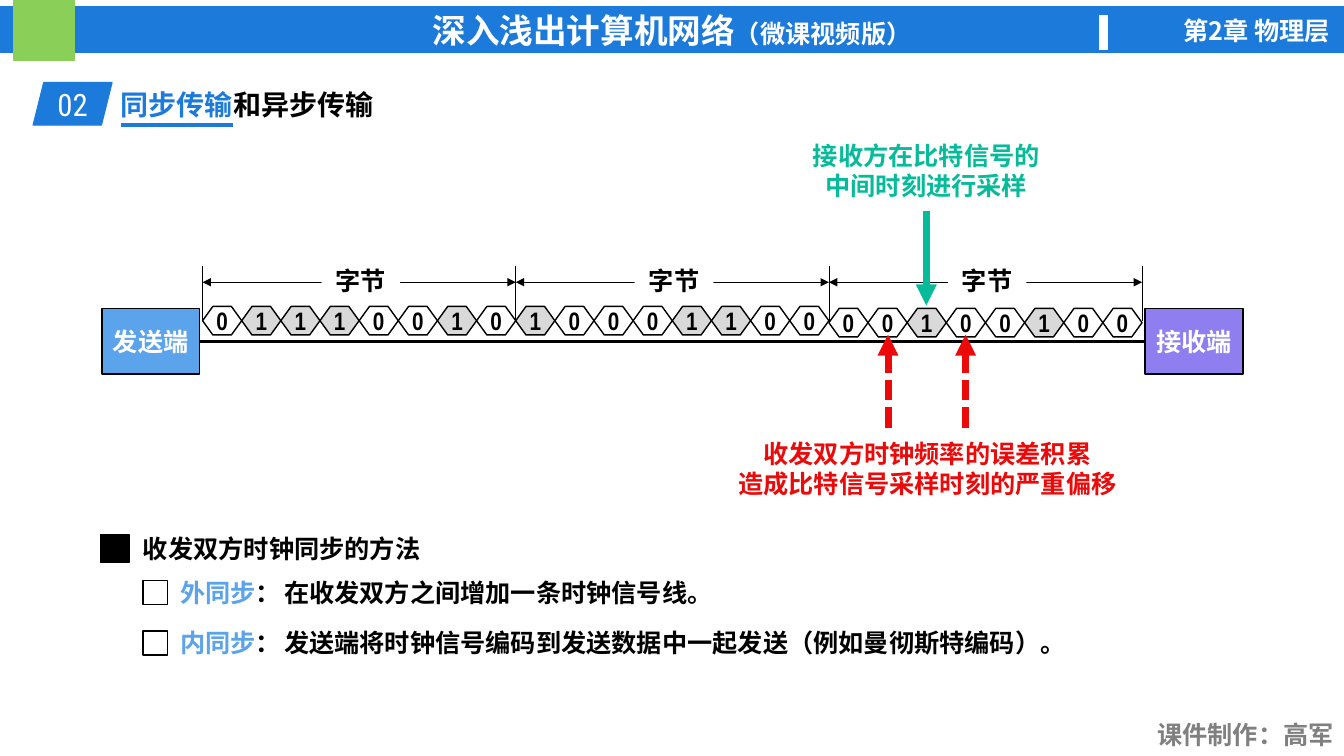
"""Slide on synchronous transmission: bit stream, sampling drift and clock synchronisation methods."""
from lxml.etree import SubElement
from pptx import Presentation
from pptx.dml.color import RGBColor
from pptx.enum.dml import MSO_LINE as DASH
from pptx.enum.shapes import MSO_CONNECTOR as CONNECTOR, MSO_SHAPE as SHAPE
from pptx.enum.text import MSO_ANCHOR as ANCHOR, PP_ALIGN as ALIGN
from pptx.oxml.ns import qn
from pptx.util import Inches, Pt

colour = RGBColor.from_string
BLUE, SKY, TEAL, RED = "1B7ADA", "5BA3EB", "06BB9A", "EB0909"
BLACK, WHITE, GREY = "000000", "FFFFFF", "D9D9D9"

deck = Presentation()
deck.slide_width, deck.slide_height = Inches(13.33), Inches(7.5)
page = deck.slides.add_slide(deck.slide_layouts[6])
COLUMN, ROW = deck.slide_width / 160, deck.slide_height / 90


def add_box(kind, at, lines=(), ink=BLACK, size=18, fill=None, edge=None,
            align=ALIGN.CENTER, anchor=ANCHOR.MIDDLE, font="Arial Narrow", bold=True):
    """Place a shape, or a text box if kind is None; each line is a list of (text, colour, size)."""
    place = [round(value * unit) for value, unit in zip(at, (COLUMN, ROW, COLUMN, ROW))]
    if kind is None:
        box = page.shapes.add_textbox(*place)
    else:
        box = page.shapes.add_shape(kind, *place)
        box.shadow.inherit = False
        if fill:
            box.fill.solid()
            box.fill.fore_color.rgb = colour(fill)
        else:
            box.fill.background()
        if edge:
            box.line.color.rgb = colour(edge)
            box.line.width = Pt(1)
        else:
            box.line.fill.background()
    frame = box.text_frame
    frame.word_wrap = True
    frame.vertical_anchor = anchor
    for number, line in enumerate(lines):
        para = frame.add_paragraph() if number else frame.paragraphs[0]
        para.alignment = align
        para.font.name, para.font.size, para.font.bold = font, Pt(size), bold
        para.font.color.rgb = colour(ink)
        for text, *special in [(line,)] if isinstance(line, str) else line:
            span = para.add_run()
            span.text = text
            if special:
                span.font.color.rgb = colour(special[0])
                span.font.size = Pt(special[1])
    return box


def add_line(start, end, ink=BLACK, width=0.5, heads=(), dash=None):
    """Draw a straight line between two grid points, with triangles at the named ends."""
    ends = [round(value * unit) for value, unit in zip(start + end, (COLUMN, ROW) * 2)]
    line = page.shapes.add_connector(CONNECTOR.STRAIGHT, *ends)
    line.line.color.rgb = colour(ink)
    line.line.width = Pt(width)
    if dash:
        line.line.dash_style = dash
    for head in heads:
        SubElement(line.line._get_or_add_ln(), qn("a:" + head), type="triangle")
    SubElement(line._element.spPr, qn("a:effectLst"))
    return line


add_box(SHAPE.RECTANGLE, (0, 0.84, 160, 5.4),
        [[("深入浅出计算机网络", WHITE, 24), ("（微课视频版）", WHITE, 18)]],
        WHITE, fill=BLUE, edge=BLUE)
add_box(SHAPE.RECTANGLE, (1.68, 0, 7.2, 7.2), fill="8ACF57", edge="8ACF57")
add_box(SHAPE.RECTANGLE, (130.92, 1.92, 0.96, 3.96), fill=WHITE, edge=WHITE)
add_box(None, (133.32, 1.2, 26.16, 4.8), ["第2章 物理层"], WHITE,
        align=ALIGN.RIGHT, anchor=ANCHOR.TOP, font="Noto Sans CJK SC")
add_box(None, (136.08, 85.08, 23.88, 4.8), ["课件制作：高军"], "808080",
        align=ALIGN.RIGHT, anchor=ANCHOR.TOP)

STREAM, BIT, BYTE = 24.12, 4.66, 37.28
for index, byte in enumerate(("01110010", "10001100", "00100100")):
    left = STREAM + index * BYTE
    top = 36.72 if index == 2 else 36.48
    for place, bit in enumerate(byte):
        cell = add_box(SHAPE.HEXAGON, (left + place * BIT, top, BIT, 3.4), [bit],
                       fill=GREY if bit == "1" else WHITE, edge=BLACK)
        cell.adjustments[0] = 0.36
        frame = cell.text_frame
        frame.word_wrap = False
        frame.margin_left = frame.margin_right = frame.margin_top = frame.margin_bottom = 0
    add_line((left, 33.6), (left + BYTE, 33.6), heads=("headEnd", "tailEnd"))
    add_box(SHAPE.RECTANGLE, (left + 14.16, 30.96, 9.36, 4.8), ["字节"],
            fill=WHITE, anchor=ANCHOR.TOP)
for border in range(4):
    edge = STREAM + border * BYTE
    add_line((edge, 38.16), (edge, 31.68))

add_box(SHAPE.PARALLELOGRAM, (3.96, 9.84, 9.36, 5.04), ["02"], WHITE, 22, BLUE, BLUE,
        font="Roboto Condensed", bold=False)
add_box(None, (13.2, 9.84, 72.96, 5.28),
        [[("同步传输", BLUE, 20), ("和异步传输", BLACK, 20)]], size=20,
        align=ALIGN.LEFT, anchor=ANCHOR.TOP)
add_line((14.4, 14.88), (27.72, 14.88), BLUE, 3)

sender, receiver = [
    add_box(SHAPE.RECTANGLE, (left, 36.72, 11.64, 7.8), [name], WHITE, fill=fill, edge=BLACK)
    for left, name, fill in ((12.12, "发送端", SKY), (136.32, "接收端", "8E7EF0"))]
wire = add_line((23.76, 40.62), (136.32, 40.62), width=2)
wire.begin_connect(sender, 3)
wire.end_connect(receiver, 1)

add_line((110.28, 25.08), (110.28, 36.36), TEAL, 5, ["tailEnd"])
add_box(None, (93.84, 16.08, 32.88, 8.52), ["接收方在比特信号的", "中间时刻进行采样"], TEAL,
        anchor=ANCHOR.TOP)
add_box(None, (84.36, 51.6, 52.08, 8.52),
        ["收发双方时钟频率的误差积累", "造成比特信号采样时刻的严重偏移"], RED, anchor=ANCHOR.TOP)
for drift in (105.72, 114.96):
    add_line((drift, 51), (drift, 39.84), RED, 5, ["tailEnd"], DASH.SQUARE_DOT)

add_box(SHAPE.RECTANGLE, (12, 63.6, 3.36, 3.36), fill=BLACK, edge=BLACK)
add_box(None, (15.84, 63.12, 77.04, 4.44), ["收发双方时钟同步的方法"], align=ALIGN.LEFT)
methods = (("外同步", "在收发双方之间增加一条时钟信号线。"),
           ("内同步", "发送端将时钟信号编码到发送数据中一起发送（例如曼彻斯特编码）。"))
for index, (method, meaning) in enumerate(methods):
    top = 68.28 + index * 6
    add_box(SHAPE.RECTANGLE, (17.04, top + 0.84, 2.88, 2.88), edge=BLACK)
    add_box(None, (20.28, top, 11.88, 4.44), [[(method, SKY, 18), ("：", BLACK, 18)]],
            align=ALIGN.LEFT)
    add_box(None, (32.64, top, 103.44, 4.44), [meaning], align=ALIGN.LEFT)

deck.save("out.pptx")
